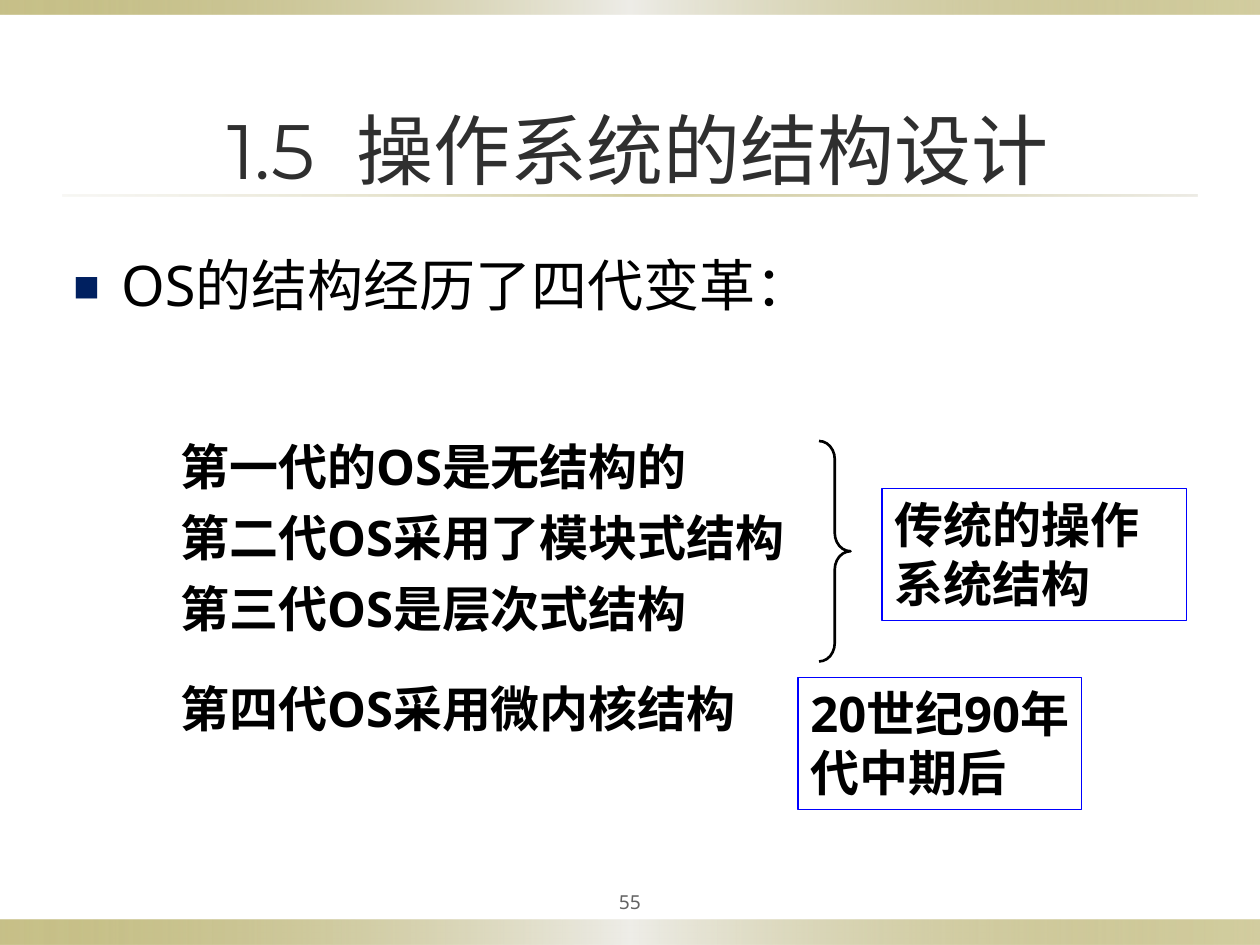
from lxml import etree
from pptx import Presentation
from pptx import util as u
from pptx.dml.color import RGBColor
from pptx.enum import shapes, text
from pptx.oxml.ns import qn

WIDTH, HEIGHT = 10, 7.5
COLUMNS, ROWS = 120, 90
COLORS = {"ink": "000000", "title": "2F2F2F", "number": "636363", "frame": "0000FF",
          "bullet": "002060", "olive": "918415", "silver": "EEEDE8", "sand": "DCD9CC"}
LATIN, CHINESE = "Noto Sans", "Noto Sans CJK SC"
BAND = [(0, "olive", 50), (50, "silver", 100), (100, "olive", 40)]
RULE = [(0, "sand", 20), (50, "olive", 40), (100, "sand", 50)]


def color(name):
    return RGBColor.from_string(COLORS[name])


def grid(column, row, columns, rows):
    return (u.Inches(column * WIDTH / COLUMNS), u.Inches(row * HEIGHT / ROWS),
            u.Inches(columns * WIDTH / COLUMNS), u.Inches(rows * HEIGHT / ROWS))


def child(parent, tag, **attributes):
    return etree.SubElement(parent, qn(tag), {k: str(v) for k, v in attributes.items()})


def add_outline(slide, kind, place, line=None, weight=0.75):
    outline = slide.shapes.add_shape(kind, *grid(*place))
    outline.shadow.inherit = False
    outline.fill.background()
    if line:
        outline.line.color.rgb = color(line)
        outline.line.width = u.Pt(weight)
    else:
        outline.line.fill.background()
    return outline


def add_gradient_bar(slide, place, stops):
    bar = add_outline(slide, shapes.MSO_SHAPE.RECTANGLE, place)
    bar.fill.gradient()
    bar.fill.gradient_angle = 0
    stop_list = bar._element.spPr.find(qn("a:gradFill")).find(qn("a:gsLst"))
    for stop in list(stop_list):
        stop_list.remove(stop)
    for position, name, opacity in stops:
        stop = child(stop_list, "a:gs", pos=position * 1000)
        tint = child(stop, "a:srgbClr", val=COLORS[name])
        child(tint, "a:alpha", val=opacity * 1000)


def add_bullet(paragraph):
    properties = paragraph._p.get_or_add_pPr()
    properties.set("marL", str(u.Inches(0.38)))
    properties.set("indent", str(-u.Inches(0.38)))
    child(child(properties, "a:buClr"), "a:srgbClr", val=COLORS["bullet"])
    child(properties, "a:buSzPct", val=50000)
    child(properties, "a:buFont", typeface=LATIN)
    child(properties, "a:buChar", char="■")


def write(holder, *lines, size=28, bold=True, ink="ink", latin=LATIN, centered=False,
          middle=False, before=0, bullet=False, space_gap=0):
    frame = holder.text_frame
    frame.word_wrap = True
    frame.margin_left = frame.margin_right = u.Inches(0.1)
    frame.margin_top = frame.margin_bottom = u.Inches(0.05)
    frame.vertical_anchor = text.MSO_ANCHOR.MIDDLE if middle else text.MSO_ANCHOR.TOP
    for index, line in enumerate(lines):
        paragraph = frame.add_paragraph() if index else frame.paragraphs[0]
        paragraph.alignment = text.PP_ALIGN.CENTER if centered else text.PP_ALIGN.LEFT
        if index:
            paragraph.space_before = u.Pt(before)
        if bullet:
            add_bullet(paragraph)
        pieces = line.partition(" ") if space_gap else [line]
        for piece in pieces:
            run = paragraph.add_run()
            run.text = piece
            run.font.size, run.font.bold, run.font.name = u.Pt(size), bold, latin
            run.font.color.rgb = color(ink)
            properties = run._r.get_or_add_rPr()
            properties.set("lang", "zh-CN")
            child(properties, "a:ea", typeface=CHINESE)
            if piece == " ":
                properties.set("spc", str(space_gap * 100))


def add_text(slide, place, *lines, **form):
    write(slide.shapes.add_textbox(*grid(*place)), *lines, **form)


def add_framed_text(slide, place, line):
    write(add_outline(slide, shapes.MSO_SHAPE.RECTANGLE, place, "frame"), line)


def main():
    deck = Presentation()
    deck.slide_width, deck.slide_height = u.Inches(WIDTH), u.Inches(HEIGHT)
    slide = deck.slides.add_slide(deck.slide_layouts[6])

    add_gradient_bar(slide, (0, 87.6, 120, 2.4), BAND)
    add_gradient_bar(slide, (0, 0, 120, 1.4), BAND)
    add_gradient_bar(slide, (6, 18.5, 108, 0.24), RULE)

    add_text(slide, (8, 8.2, 105.6, 11.9), "1.5 操作系统的结构设计", size=44, bold=False,
             ink="title", latin="Montserrat", centered=True, middle=True, space_gap=12)
    add_text(slide, (5.8, 23.3, 93.5, 10.2), "OS的结构经历了四代变革：", size=32,
             bold=False, bullet=True)
    add_text(slide, (54, 84, 12, 3.7), "55", size=11, bold=False, ink="number",
             centered=True, middle=True)

    add_text(slide, (16, 41, 63, 20.8), "第一代的OS是无结构的", "第二代OS采用了模块式结构",
             "第三代OS是层次式结构", before=7)
    brace = add_outline(slide, shapes.MSO_SHAPE.RIGHT_BRACE, (78, 42, 3, 21), "ink", 1.5)
    brace.adjustments[0], brace.adjustments[1] = 0.58, 0.5
    add_framed_text(slide, (84, 46.5, 29, 12.6), "传统的操作系统结构")
    add_text(slide, (16, 64, 57, 6.8), "第四代OS采用微内核结构")
    add_framed_text(slide, (76, 64.5, 27, 12.6), "20世纪90年代中期后")

    deck.save("out.pptx")


main()
